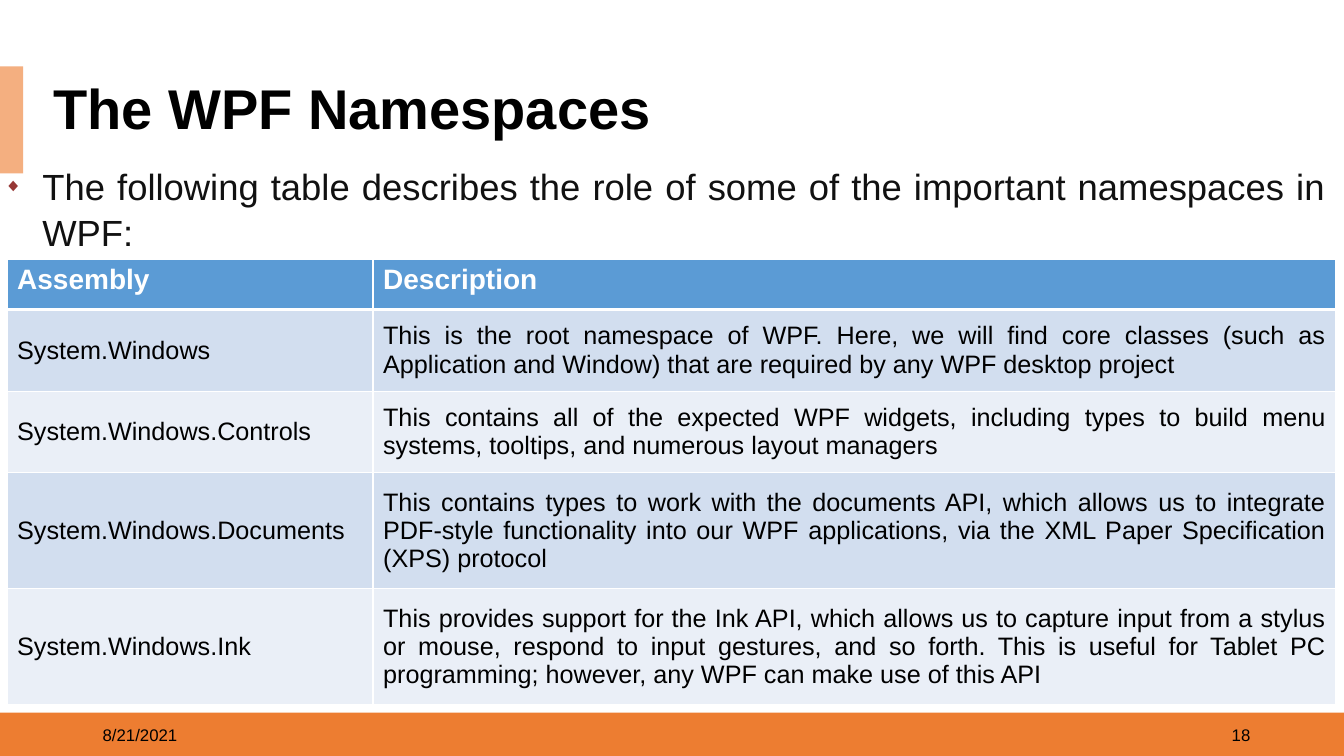
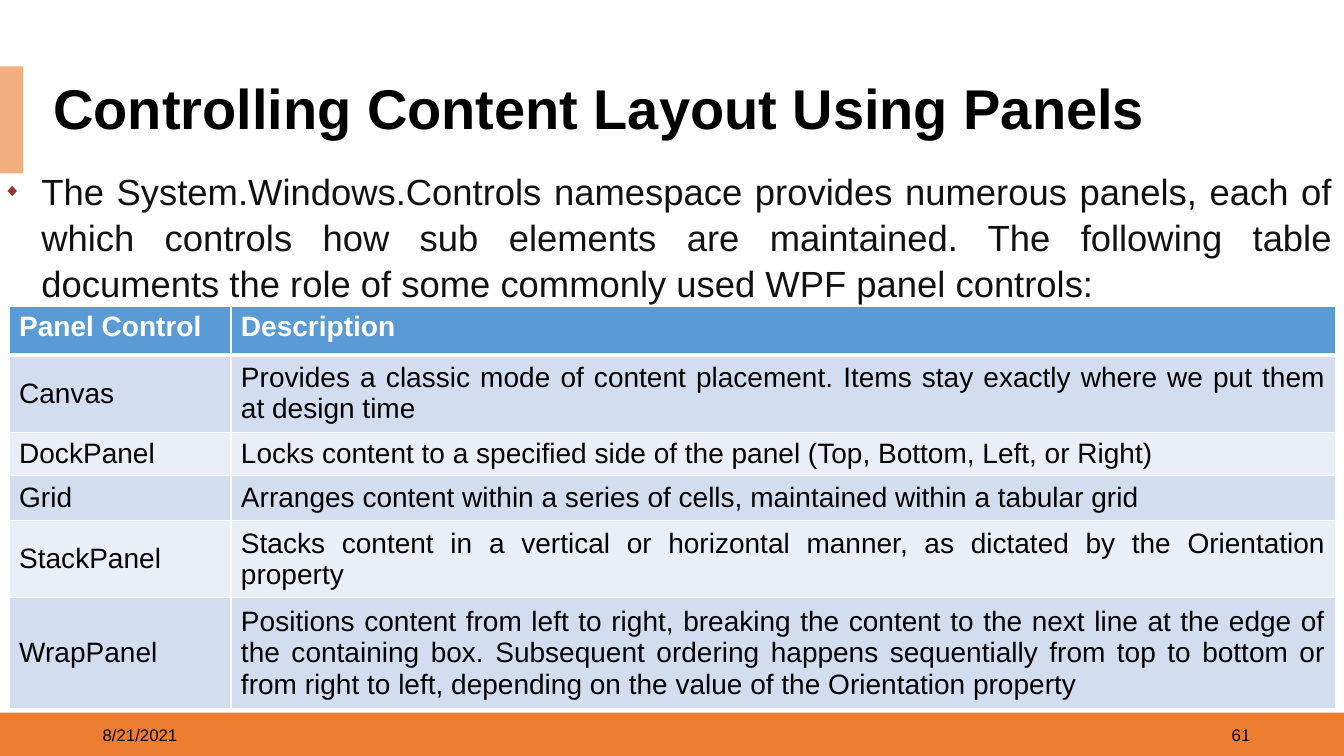
"""Builds two slides that introduce WPF namespaces and panels with tables."""
from dataclasses import dataclass
from typing import Any

from lxml import etree
from pptx import Presentation
from pptx import util as u
from pptx.dml.color import RGBColor
from pptx.enum import shapes, text
from pptx.oxml import ns

EMU_PER_PX = 9144
FONT = "Arial"
BLACK, WHITE, INK = "000000", "FFFFFF", "111111"
ORANGE, PEACH, DIAMOND = "ED7D31", "F4AF80", "973735"
HEADER, BANDS = "5B9BD5", ("D2DEEF", "EAEFF7")
DATE = "8/21/2021"

TITLE_FORMAT = {"size": u.Pt(40), "bold": True}
BODY_FORMAT = {"size": u.Pt(26), "bold": False}
FOOTER_FORMAT = {"size": u.Pt(12), "bold": False}
HEADER_FORMAT = {"size": u.Pt(20), "bold": True}


@dataclass(frozen=True)
class Box:
    left: int
    top: int
    width: int
    height: int

    def emu(self) -> tuple[int, ...]:
        return tuple(px(side) for side in (self.left, self.top, self.width, self.height))


@dataclass(frozen=True)
class Grid:
    left: int
    top: int
    columns: tuple[int, ...]
    heights: tuple[int, ...]
    size: int
    rows: tuple[tuple[str, str], ...]


@dataclass(frozen=True)
class Page:
    title: str
    intro: str
    intro_box: Box
    number: str
    grid: Grid


STRIPES = ((Box(0, 707, 1333, 44), ORANGE), (Box(0, 66, 23, 106), PEACH))
TITLE_BOX = Box(43, 79, 1290, 63)

PAGES = (
    Page(
        "The WPF Namespaces",
        "The following table describes the role of some of the important namespaces in WPF:",
        Box(-6, 156, 1332, 98),
        "18",
        Grid(7, 257, (363, 955), (50, 81, 81, 115, 115), 18, (
            ("Assembly", "Description"),
            ("System.Windows",
             "This is the root namespace of WPF. Here, we will find core classes (such as "
             "Application and Window) that are required by any WPF desktop project"),
            ("System.Windows.Controls",
             "This contains all of the expected WPF widgets, including types to build menu "
             "systems, tooltips, and numerous layout managers"),
            ("System.Windows.Documents",
             "This contains types to work with the documents API, which allows us to integrate "
             "PDF-style functionality into our WPF applications, via the XML Paper "
             "Specification (XPS) protocol"),
            ("System.Windows.Ink",
             "This provides support for the Ink API, which allows us to capture input from a "
             "stylus or mouse, respond to input gestures, and so forth. This is useful for "
             "Tablet PC programming; however, any WPF can make use of this API"),
        )),
    ),
    Page(
        "Controlling Content Layout Using Panels",
        "The System.Windows.Controls namespace provides numerous panels, each of which controls "
        "how sub elements are maintained. The following table documents the role of some "
        "commonly used WPF panel controls:",
        Box(-7, 161, 1340, 141),
        "61",
        Grid(9, 304, (220, 1096), (48, 72, 41, 44, 72, 102), 20, (
            ("Panel Control", "Description"),
            ("Canvas",
             "Provides a classic mode of content placement. Items stay exactly where we put "
             "them at design time"),
            ("DockPanel",
             "Locks content to a specified side of the panel (Top, Bottom, Left, or Right)"),
            ("Grid", "Arranges content within a series of cells, maintained within a tabular grid"),
            ("StackPanel",
             "Stacks content in a vertical or horizontal manner, as dictated by the "
             "Orientation property"),
            ("WrapPanel",
             "Positions content from left to right, breaking the content to the next line at "
             "the edge of the containing box. Subsequent ordering happens sequentially from top "
             "to bottom or from right to left, depending on the value of the Orientation "
             "property"),
        )),
    ),
)


def px(length: int) -> int:
    return length * EMU_PER_PX


def color(value: str) -> RGBColor:
    return RGBColor.from_string(value)


def apply(target: Any, values: dict[str, Any]) -> None:
    for name, value in values.items():
        setattr(target, name, value)


def place(shape: Any, box: Box) -> None:
    apply(shape, dict(zip(("left", "top", "width", "height"), box.emu())))


def paint(shape: Any, value: str) -> None:
    shape.fill.solid()
    shape.fill.fore_color.rgb = color(value)


def write(frame: Any, words: str, font: dict[str, Any], ink: str, **layout: Any) -> Any:
    paragraph = frame.paragraphs[0]
    run = paragraph.add_run()
    run.text = words
    apply(run.font, {"name": FONT, **font})
    run.font.color.rgb = color(ink)
    apply(paragraph, layout)
    return paragraph


def add_xml(parent: Any, tag: str, **attributes: str) -> Any:
    return etree.SubElement(parent, ns.qn(tag), attributes)


def add_bullet(paragraph: Any) -> None:
    properties = paragraph._p.get_or_add_pPr()
    apply_indent = {"marL": str(px(38)), "indent": str(px(-38))}
    for name, value in apply_indent.items():
        properties.set(name, value)
    add_xml(add_xml(properties, "a:buClr"), "a:srgbClr", val=DIAMOND)
    add_xml(properties, "a:buSzPct", val="50000")
    add_xml(properties, "a:buChar", char="◆")


def add_borders(cell: Any, top: int, bottom: int) -> None:
    properties = cell._tc.get_or_add_tcPr()
    for side, points in (("L", 1), ("R", 1), ("T", top), ("B", bottom)):
        line = add_xml(properties, f"a:ln{side}", w=str(u.Pt(points)))
        add_xml(add_xml(line, "a:solidFill"), "a:srgbClr", val=WHITE)


def add_stripes(slide: Any) -> None:
    for box, fill in STRIPES:
        stripe = slide.shapes.add_shape(shapes.MSO_SHAPE.RECTANGLE, *box.emu())
        stripe.shadow.inherit = False
        stripe.line.fill.background()
        paint(stripe, fill)


def add_footer(slide: Any, number: str) -> None:
    for left, words, alignment in (
        (92, DATE, text.PP_ALIGN.LEFT),
        (950, number, text.PP_ALIGN.RIGHT),
    ):
        frame = slide.shapes.add_textbox(*Box(left, 709, 300, 40).emu()).text_frame
        apply(frame, {"word_wrap": True, "vertical_anchor": text.MSO_ANCHOR.MIDDLE})
        write(frame, words, FOOTER_FORMAT, BLACK, alignment=alignment)


def fill_placeholders(slide: Any, page: Page) -> None:
    title, body = slide.shapes.title, slide.placeholders[1]
    place(title, TITLE_BOX)
    paint(title, WHITE)
    apply(title.text_frame, {"vertical_anchor": text.MSO_ANCHOR.MIDDLE,
                             "auto_size": text.MSO_AUTO_SIZE.NONE})
    write(title.text_frame, page.title, TITLE_FORMAT, BLACK,
          alignment=text.PP_ALIGN.LEFT, line_spacing=0.9)
    place(body, page.intro_box)
    body.text_frame.auto_size = text.MSO_AUTO_SIZE.SHAPE_TO_FIT_TEXT
    add_bullet(write(body.text_frame, page.intro, BODY_FORMAT, INK,
                     alignment=text.PP_ALIGN.JUSTIFY, line_spacing=1.05,
                     space_before=u.Pt(6), space_after=u.Pt(0)))


def add_grid(slide: Any, grid: Grid) -> None:
    box = Box(grid.left, grid.top, sum(grid.columns), sum(grid.heights))
    table = slide.shapes.add_table(len(grid.rows), len(grid.columns), *box.emu()).table
    table.horz_banding = False
    for column, width in zip(table.columns, grid.columns):
        column.width = px(width)
    body_format = {"size": u.Pt(grid.size), "bold": False}
    for index, (row, height, entries) in enumerate(zip(table.rows, grid.heights, grid.rows)):
        row.height = px(height)
        is_header = index == 0
        for cell, words in zip(row.cells, entries):
            add_borders(cell, 3 if index == 1 else 1, 3 if is_header else 1)
            paint(cell, HEADER if is_header else BANDS[(index - 1) % 2])
            cell.vertical_anchor = text.MSO_ANCHOR.TOP if is_header else text.MSO_ANCHOR.MIDDLE
            write(cell.text_frame, words, HEADER_FORMAT if is_header else body_format,
                  WHITE if is_header else BLACK, alignment=text.PP_ALIGN.JUSTIFY)


def main() -> None:
    presentation = Presentation()
    apply(presentation, {"slide_width": px(1333), "slide_height": px(750)})
    for page in PAGES:
        slide = presentation.slides.add_slide(presentation.slide_layouts[1])
        add_stripes(slide)
        add_footer(slide, page.number)
        fill_placeholders(slide, page)
        add_grid(slide, page.grid)
    presentation.save("out.pptx")


if __name__ == "__main__":
    main()
